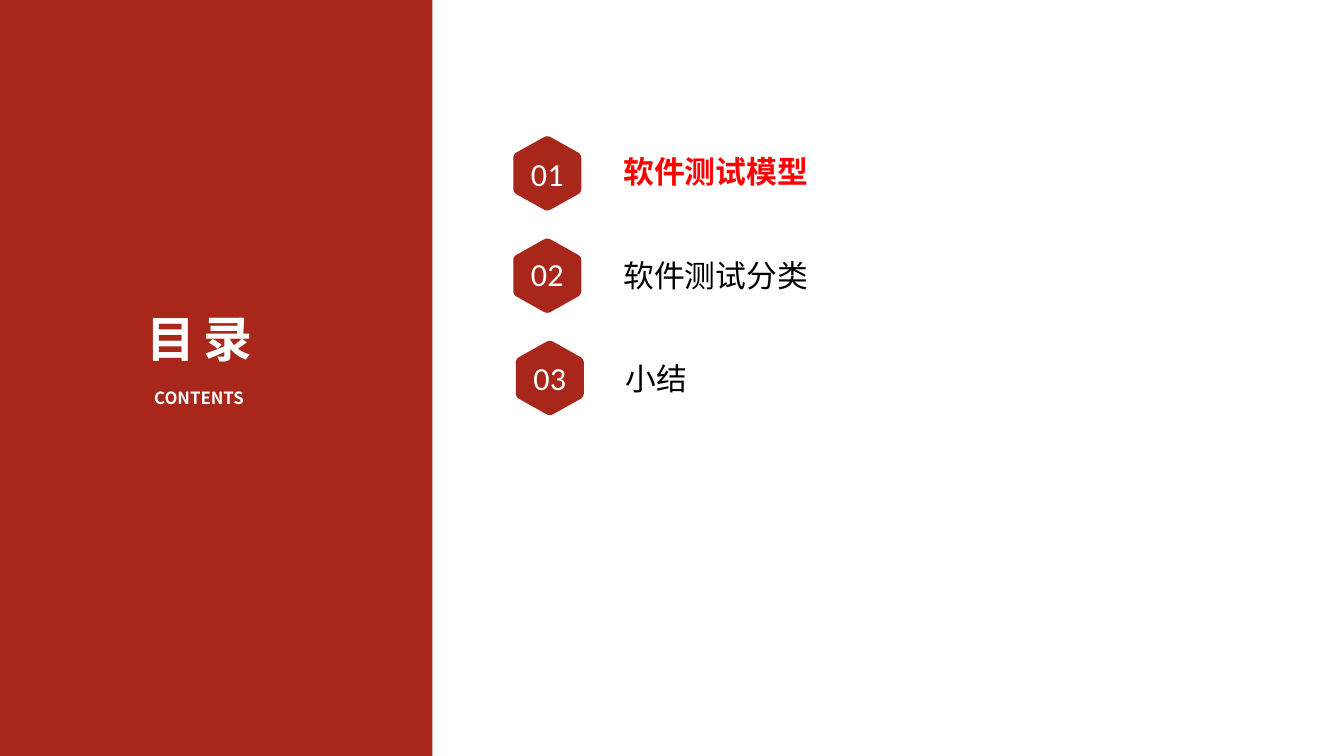
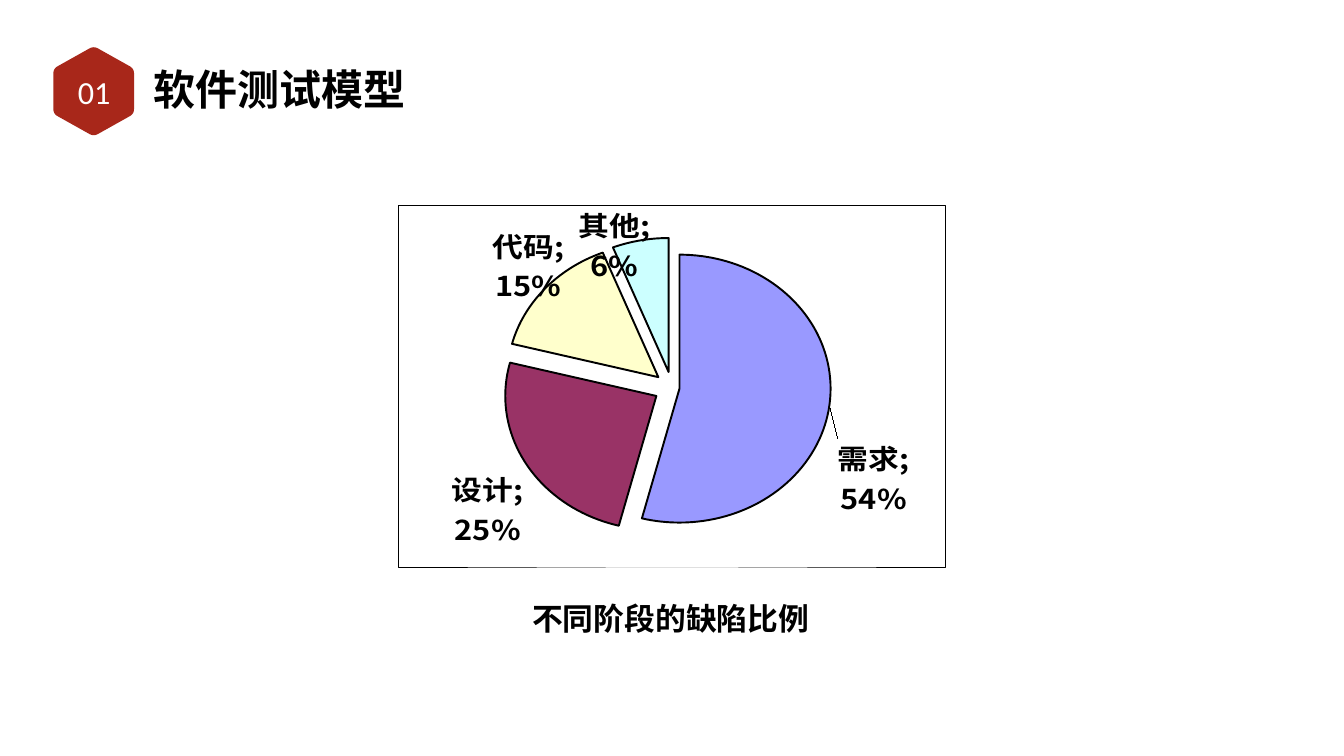
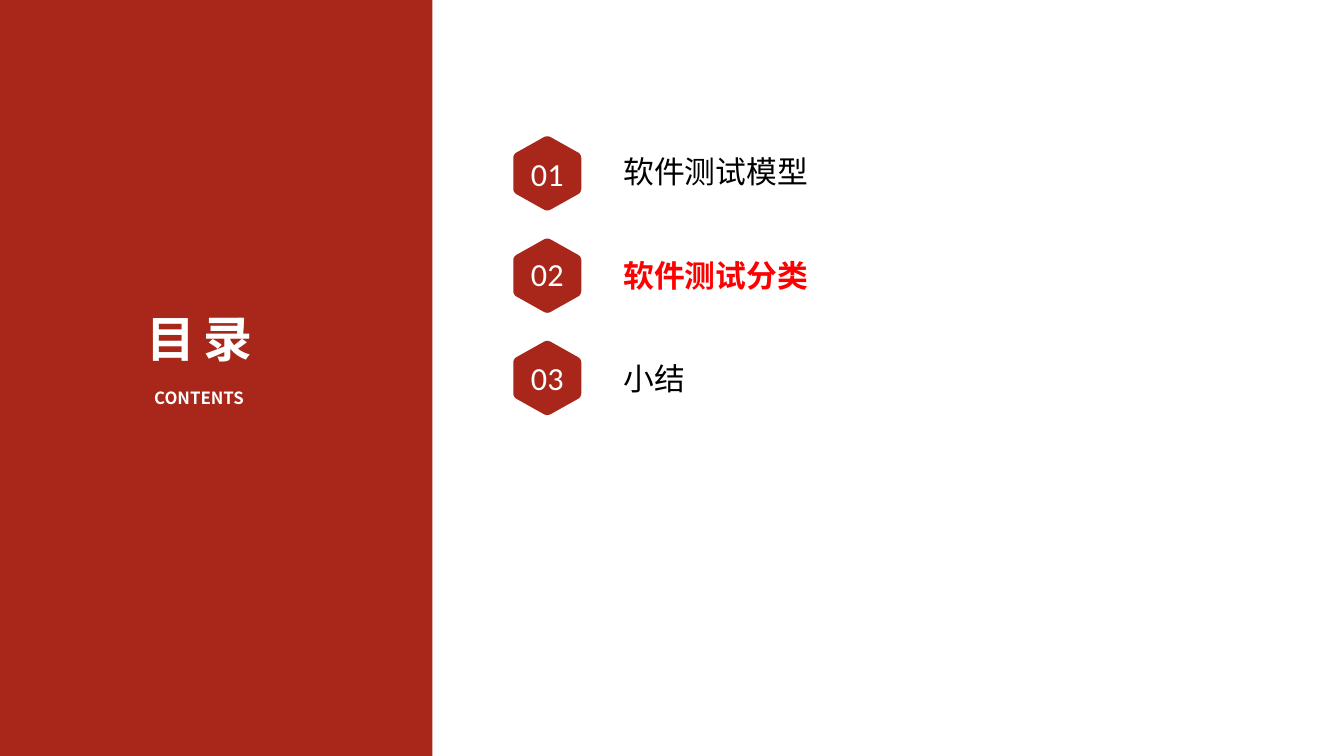
"""Build the contents and defect-share slides of a software testing course."""
from copy import deepcopy
from dataclasses import dataclass
from math import hypot
from typing import NamedTuple

from lxml.etree import SubElement
from pptx import Presentation
from pptx.chart.data import CategoryChartData
from pptx.dml.color import RGBColor
from pptx.enum.chart import XL_CHART_TYPE, XL_LABEL_POSITION
from pptx.enum.shapes import MSO_SHAPE
from pptx.enum.text import MSO_ANCHOR, MSO_AUTO_SIZE, PP_ALIGN
from pptx.oxml import parse_xml
from pptx.oxml.ns import nsdecls, qn
from pptx.presentation import Presentation as Deck
from pptx.shapes.autoshape import Shape
from pptx.shapes.shapetree import GroupShapes, SlideShapes
from pptx.slide import Slide
from pptx.text.text import Font
from pptx.util import Inches, Pt


@dataclass(frozen=True)
class Theme:
    red: str = "A8271A"
    highlight: str = "FF0000"
    black: str = "000000"
    white: str = "FFFFFF"
    text_font: str = "Noto Sans CJK SC"
    number_font: str = "Calibri"
    contents_size: float = 70
    title_size: float = 60
    number_size: float = 46
    text_size: float = 44
    subtitle_size: float = 24
    slices: tuple[str, ...] = ("9999FF", "993366", "FFFFCC", "CCFFFF")


THEME = Theme()
TITLE_ONLY_LAYOUT = 5
NAMESPACES = nsdecls("c", "a")


class Box(NamedTuple):
    left: float
    top: float
    width: float
    height: float


class TextStyle(NamedTuple):
    size: float
    color: str = THEME.black
    bold: bool = False
    font: str = THEME.text_font
    align: PP_ALIGN = PP_ALIGN.LEFT
    anchor: MSO_ANCHOR = MSO_ANCHOR.TOP
    spacing: float = 0
    inset: float = 0.05


class Chapter(NamedTuple):
    name: str
    label_top: float
    label_height: float
    number_top: float


class DefectShare(NamedTuple):
    phase: str
    share: float
    explosion: int
    label_shift_x: float
    label_shift_y: float


CONTENTS = TextStyle(THEME.contents_size, THEME.white, True, align=PP_ALIGN.CENTER, spacing=11.7)
SUBTITLE = TextStyle(THEME.subtitle_size, THEME.white, True, align=PP_ALIGN.CENTER)
TITLE = TextStyle(THEME.title_size, bold=True, anchor=MSO_ANCHOR.MIDDLE, inset=0.06)
NUMBER = TextStyle(THEME.number_size, THEME.white, font=THEME.number_font,
                   align=PP_ALIGN.CENTER, anchor=MSO_ANCHOR.MIDDLE)
ENTRY = TextStyle(THEME.text_size)
CURRENT_ENTRY = TextStyle(THEME.text_size, THEME.highlight, True)
CAPTION = TextStyle(THEME.text_size, bold=True, inset=0.1)

CHAPTERS = (
    Chapter("软件测试模型", 2.98, 0.93, 2.92),
    Chapter("软件测试分类", 5.04, 0.78, 4.9),
    Chapter("小结", 7.09, 0.81, 6.97),
)
DEFECT_SHARES = (
    DefectShare("需求", 0.54, 5, 0.01, 0.09),
    DefectShare("设计", 0.25, 12, 0, 0.01),
    DefectShare("代码", 0.15, 12, 0.04, 0.05),
    DefectShare("其他", 0.06, 12, 0.02, 0.12),
)


def format_font(font: Font, style: TextStyle) -> None:
    """Apply size, colour, weight and both Latin and East Asian fonts."""
    font.size = Pt(style.size)
    font.bold = style.bold
    font.color.rgb = RGBColor.from_string(style.color)
    font.name = style.font
    properties = font._element
    SubElement(properties, qn("a:ea")).set("typeface", style.font)
    if style.spacing:
        properties.set("spc", str(round(style.spacing * 100)))


def write_text(shape: Shape, text: str, style: TextStyle) -> None:
    """Put one formatted paragraph into a shape."""
    frame = shape.text_frame
    frame.word_wrap = True
    frame.auto_size = MSO_AUTO_SIZE.NONE
    frame.vertical_anchor = style.anchor
    frame.margin_left = frame.margin_right = Inches(style.inset)
    frame.margin_top = frame.margin_bottom = Inches(0.05)
    frame.text = text
    paragraph = frame.paragraphs[0]
    paragraph.alignment = style.align
    format_font(paragraph.runs[0].font, style)


def add_text(shapes: SlideShapes | GroupShapes, box: Box, text: str, style: TextStyle) -> Shape:
    """Add a text box with one formatted paragraph."""
    shape = shapes.add_textbox(*map(Inches, box))
    write_text(shape, text, style)
    return shape


def set_title(slide: Slide, box: Box, text: str, style: TextStyle) -> None:
    """Move, fill and bring forward the title placeholder."""
    title = slide.shapes.title
    title.left, title.top, title.width, title.height = map(Inches, box)
    write_text(title, text, style)
    title.element.getparent().append(title.element)


def fill_plain(shape: Shape, color: str) -> None:
    """Give a shape a solid fill without line or shadow."""
    shape.shadow.inherit = False
    shape.fill.solid()
    shape.fill.fore_color.rgb = RGBColor.from_string(color)
    shape.line.fill.background()


def add_hexagon(shapes: SlideShapes | GroupShapes, center_x: float, center_y: float,
                width: float) -> None:
    """Draw an upright hexagon with rounded corners."""
    half, height, trim = width / 2, width * 1.12, width * 0.06
    corners = [(center_x + x * half, center_y + y * height)
               for x, y in ((0, -0.5), (1, -0.25), (1, 0.25), (0, 0.5), (-1, 0.25), (-1, -0.25))]
    points = []
    for index, (x, y) in enumerate(corners):
        ends = []
        for other_x, other_y in (corners[index - 1], corners[(index + 1) % len(corners)]):
            share = trim / hypot(other_x - x, other_y - y)
            ends.append(((other_x - x) * share, (other_y - y) * share))
        (before_x, before_y), (after_x, after_y) = ends
        for step in range(7):
            t = step / 6
            points.append((Inches(x + before_x * (1 - t) ** 2 + after_x * t ** 2),
                           Inches(y + before_y * (1 - t) ** 2 + after_y * t ** 2)))
    builder = shapes.build_freeform(*points[0])
    builder.add_line_segments(points[1:], close=True)
    fill_plain(builder.convert_to_shape(), THEME.red)


def add_contents_slide(presentation: Deck, current: int, last_shift: float = 0) -> None:
    """Add the contents slide with the current chapter highlighted."""
    slide = presentation.slides.add_slide(presentation.slide_layouts[TITLE_ONLY_LAYOUT])
    panel = slide.shapes.add_shape(MSO_SHAPE.RECTANGLE, 0, 0, Inches(8.58), presentation.slide_height)
    fill_plain(panel, THEME.red)
    add_text(slide.shapes, Box(1.87, 7.64, 4.16, 0.99), "CONTENTS", SUBTITLE)
    set_title(slide, Box(1.12, 6.08, 5.68, 2.85), "目录", CONTENTS)
    for index, chapter in enumerate(CHAPTERS):
        shift = last_shift if index == len(CHAPTERS) - 1 else 0
        shapes = slide.shapes.add_group_shape().shapes
        add_text(shapes, Box(12.32 + shift, chapter.label_top, 4.18, chapter.label_height),
                 chapter.name, CURRENT_ENTRY if index == current else ENTRY)
        add_hexagon(shapes, 10.86 + shift, 3.44 + 2.03 * index, 1.35)
        add_text(shapes, Box(9.99 + shift, chapter.number_top, 1.74, 1.05), f"{index + 1:02}", NUMBER)


def add_defect_chart(slide: Slide, box: Box) -> None:
    """Add the exploded pie of defect shares."""
    data = CategoryChartData(number_format="0%")
    data.categories = [defect.phase for defect in DEFECT_SHARES]
    data.add_series("Series 1", [defect.share for defect in DEFECT_SHARES])
    chart = slide.shapes.add_chart(XL_CHART_TYPE.PIE, *map(Inches, box), data).chart
    chart.has_title = False
    chart.has_legend = False
    style = TextStyle(THEME.text_size, bold=True)
    format_font(chart.font, style)
    plot = chart.plots[0]
    plot.vary_by_categories = True
    series = plot.series[0]
    for index, color in enumerate(THEME.slices):
        point_format = series.points[index].format
        point_format.fill.solid()
        point_format.fill.fore_color.rgb = RGBColor.from_string(color)
        point_format.line.color.rgb = RGBColor.from_string(THEME.black)
        point_format.line.width = Pt(2.75)
    labels = series.data_labels
    labels.show_value = labels.show_category_name = True
    labels.number_format, labels.number_format_is_linked = "0%", False
    labels.position = XL_LABEL_POSITION.BEST_FIT
    format_font(labels.font, style)
    format_chart_frame(chart._chartSpace)
    arrange_slices(chart._chartSpace.find(".//" + qn("c:ser")))


def manual_layout(**settings: str | float):
    """Return a layout element with the given settings."""
    values = "".join(f'<c:{name} val="{value}"/>' for name, value in settings.items())
    return parse_xml(f"<c:layout {NAMESPACES}><c:manualLayout>{values}</c:manualLayout></c:layout>")


def format_chart_frame(chart_space) -> None:
    """Set the chart's background, border and plot position."""
    chart_space.find(qn("c:chart")).addprevious(
        parse_xml(f'<c:roundedCorners {NAMESPACES} val="0"/>'))
    chart_space.find(qn("c:txPr")).addprevious(parse_xml(
        f'<c:spPr {NAMESPACES}><a:solidFill><a:srgbClr val="{THEME.white}"/></a:solidFill>'
        f'<a:ln w="{Pt(0.69)}"><a:solidFill><a:srgbClr val="{THEME.black}"/></a:solidFill></a:ln></c:spPr>'))
    plot_area = chart_space.find(".//" + qn("c:plotArea"))
    for layout in plot_area.findall(qn("c:layout")):
        plot_area.remove(layout)
    plot_area.insert(0, manual_layout(layoutTarget="inner", xMode="edge", yMode="edge",
                                      x=0.18, y=0.09, w=0.64, h=0.83))


def arrange_slices(series) -> None:
    """Pull the slices apart and shift their labels."""
    explosion = max(defect.explosion for defect in DEFECT_SHARES)
    points = series.findall(qn("c:dPt"))
    points[0].addprevious(parse_xml(f'<c:explosion {NAMESPACES} val="{explosion}"/>'))
    labels = series.find(qn("c:dLbls"))
    switches = (qn("c:showPercent"), qn("c:showBubbleSize"))
    last_switch = [child for child in labels if child.tag in switches][-1]
    last_switch.addnext(parse_xml(f"<c:separator {NAMESPACES}>; </c:separator>"))
    shared = [child for child in labels if child.tag != qn("c:showLeaderLines")]
    for index, (point, defect) in enumerate(zip(points, DEFECT_SHARES)):
        point.find(qn("c:spPr")).addprevious(
            parse_xml(f'<c:explosion {NAMESPACES} val="{defect.explosion}"/>'))
        label = parse_xml(f'<c:dLbl {NAMESPACES}><c:idx val="{index}"/></c:dLbl>')
        label.append(manual_layout(x=defect.label_shift_x, y=defect.label_shift_y))
        label.extend(deepcopy(child) for child in shared)
        labels.insert(index, label)


def add_defect_slide(presentation: Deck) -> None:
    """Add the slide with the share of defects by phase."""
    slide = presentation.slides.add_slide(presentation.slide_layouts[TITLE_ONLY_LAYOUT])
    add_hexagon(slide.shapes, 1.86, 1.81, 1.6)
    set_title(slide, Box(2.99, 1.18, 7.26, 1.14), CHAPTERS[0].name, TITLE)
    add_defect_chart(slide, Box(7.9, 3.15, 10.87, 8.1))
    caption = add_text(slide.shapes, Box(10.46, 11.85, 5.76, 0.84), "不同阶段的缺陷比例", CAPTION)
    caption.text_frame.word_wrap = False
    caption.text_frame.auto_size = MSO_AUTO_SIZE.SHAPE_TO_FIT_TEXT
    add_text(slide.shapes, Box(1, 1.29, 1.74, 1.05), "01", NUMBER)


def main() -> None:
    """Build and save the presentation."""
    presentation = Presentation()
    presentation.slide_width = Inches(26.67)
    presentation.slide_height = Inches(15)
    add_contents_slide(presentation, current=0, last_shift=0.05)
    add_defect_slide(presentation)
    add_contents_slide(presentation, current=1)
    presentation.save("out.pptx")


if __name__ == "__main__":
    main()
